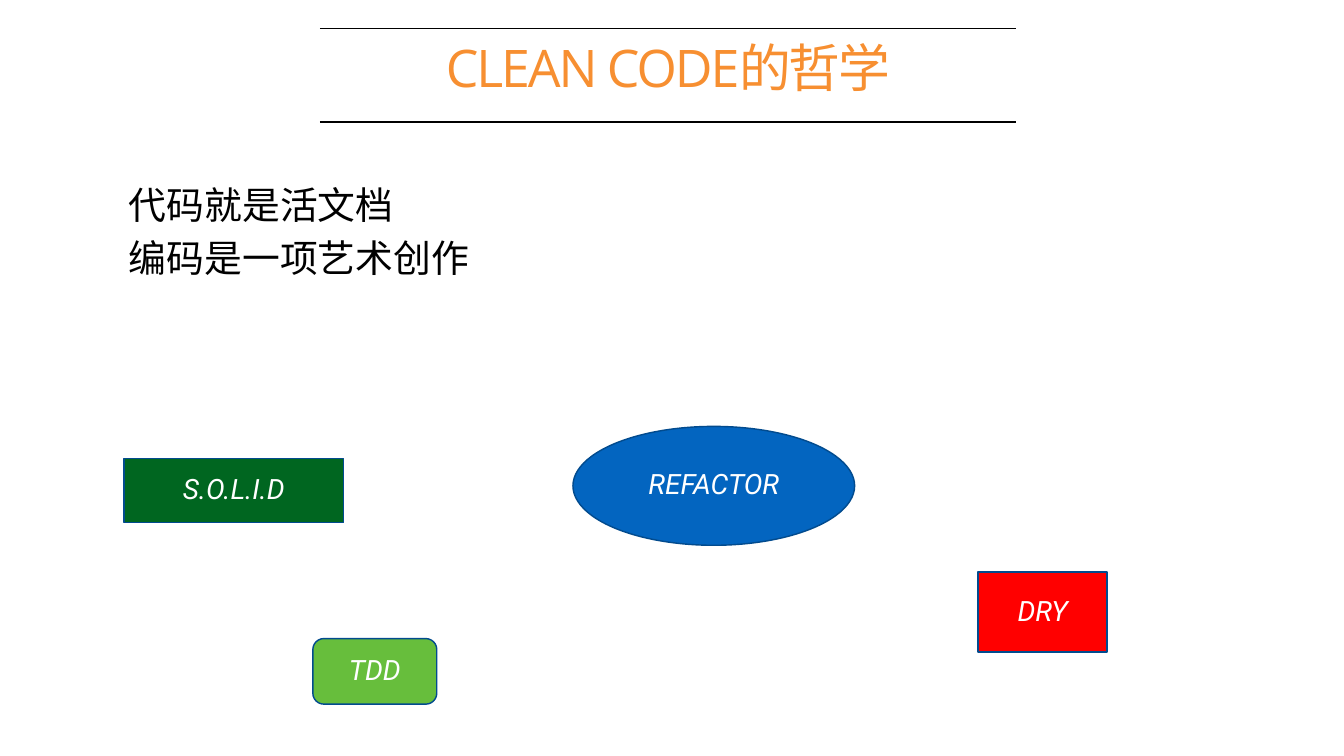
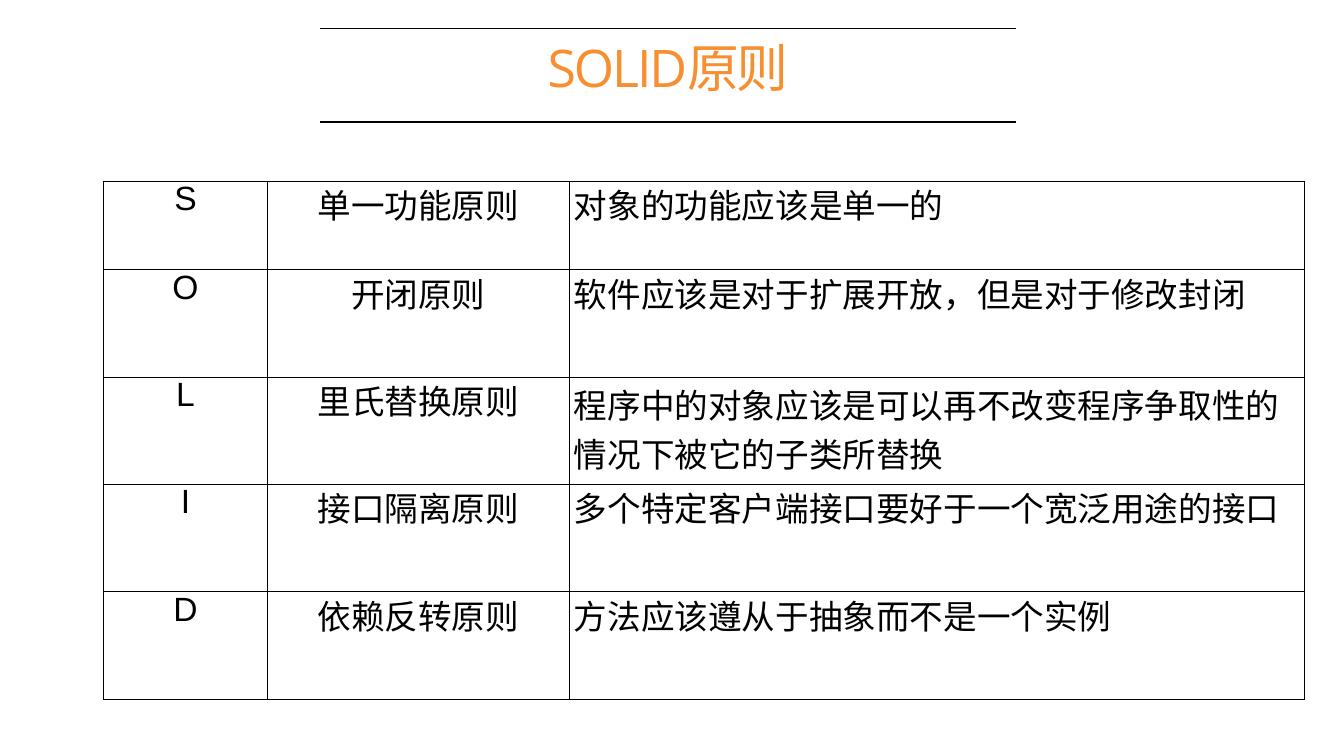
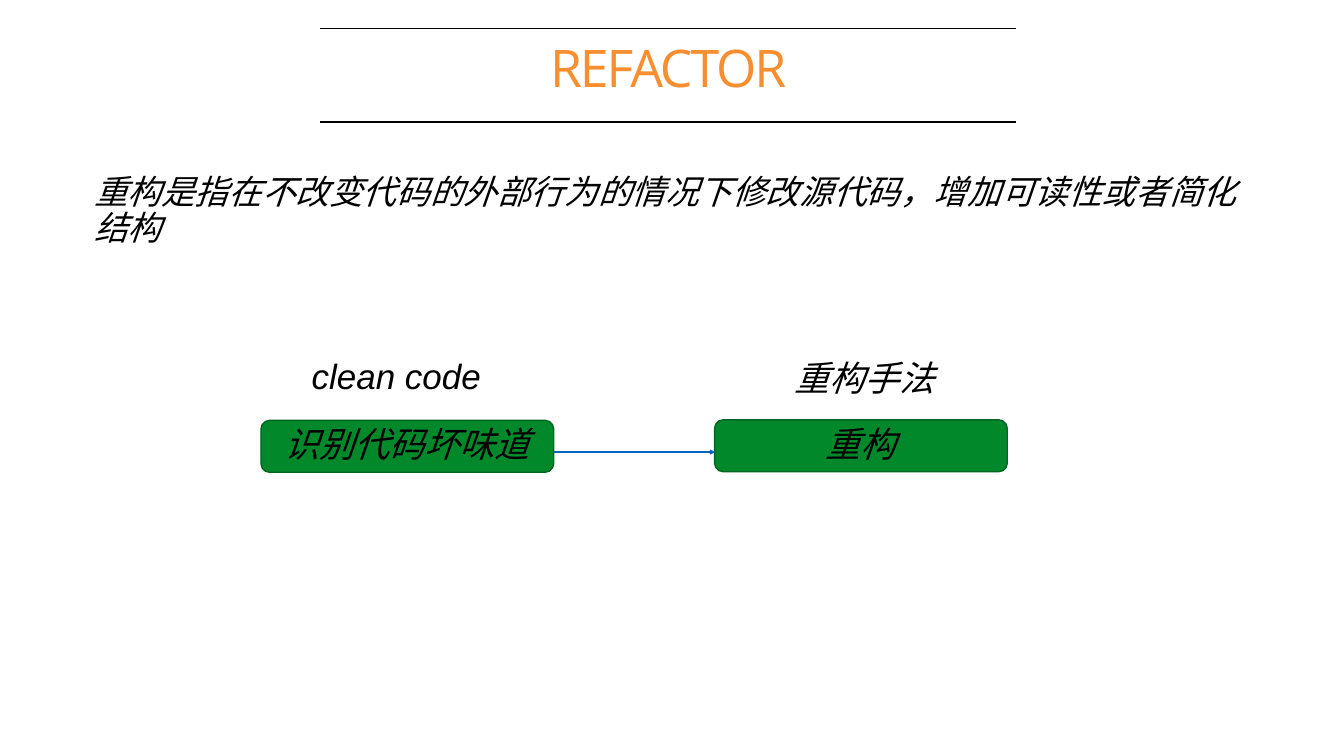
"""Build three slides on clean code, the SOLID principles and refactoring."""
import dataclasses

import lxml.etree
import pptx
import pptx.dml.color
import pptx.enum.shapes
import pptx.enum.text
import pptx.oxml
import pptx.oxml.ns
import pptx.util

KIND = pptx.enum.shapes.MSO_SHAPE
ALIGN = pptx.enum.text.PP_ALIGN
ANCHOR = pptx.enum.text.MSO_ANCHOR
FIT = pptx.enum.text.MSO_AUTO_SIZE
Pt = pptx.util.Pt
qn = pptx.oxml.ns.qn


@dataclasses.dataclass(frozen=True)
class Theme:
    """Colours, fonts and type sizes of the deck."""
    ink: str = "000000"
    paper: str = "FFFFFF"
    title: str = "F78F31"
    edge: str = "024B8E"
    blue: str = "0365C0"
    forest: str = "006620"
    lime: str = "67BE3C"
    red: str = "FF0000"
    green: str = "00882B"
    rim: str = "006520"
    head: str = "Open Sans"
    tag: str = "Roboto"
    body: str = "Arial"
    big: int = 74
    lead: int = 54
    step: int = 50
    text: int = 48
    small: int = 40
    line: int = 2


T = Theme()
WIDE, HIGH = pptx.util.Inches(26.67), pptx.util.Inches(15)

RULES = (16.13, 3.8)
RULE_ENDS = (23.81, 75.59)
TITLE_BOX = (4.46, 0, 90.51, 19.8)

CREED = ["代码就是活文档", "编码是一项艺术创作"]
CREED_BOX = (9.22, 23.67, 43.91, 71.2)
TAGS = [
    ("S.O.L.I.D", KIND.RECTANGLE, T.forest, (9.22, 60.67, 16.35, 8.47)),
    ("REFACTOR", KIND.OVAL, T.blue, (42.63, 56.4, 20.96, 15.73)),
    ("TDD", KIND.ROUNDED_RECTANGLE, T.lime, (23.28, 84.47, 9.22, 8.67)),
    ("DRY", KIND.RECTANGLE, T.red, (72.78, 75.67, 9.6, 10.6)),
]

SOLID = [
    ("S", "单一功能原则", "对象的功能应该是单一的"),
    ("O", "开闭原则", "软件应该是对于扩展开放，但是对于修改封闭"),
    ("L", "里氏替换原则", "程序中的对象应该是可以再不改变程序争取性的情况下被它的子类所替换"),
    ("I", "接口隔离原则", "多个特定客户端接口要好于一个宽泛用途的接口"),
    ("D", "依赖反转原则", "方法应该遵从于抽象而不是一个实例"),
]
COLS = (12.22, 22.42, 54.74)
ROWS = (11.67,) + (14.2,) * 4
LOOSE = "L"

NOTE = "重构是指在不改变代码的外部行为的情况下修改源代码，增加可读性或者简化结构"
NOTE_BOX = (6.71, 22.53, 86.88, 10.87)
STEPS = [("识别代码坏味道", (19.42, 55.6, 21.78, 6.87)),
         ("重构", (53.17, 55.53, 21.78, 6.87))]
LABELS = [("clean code", (22.42, 46.87, 14.14, 6.2)),
          ("重构手法", (58.64, 47.13, 11.4, 6.2))]
FLOW = 59.8


def px(share):
    """Turn a percentage of the width into a length."""
    return round(WIDE * share / 100)


def py(share):
    """Turn a percentage of the height into a length."""
    return round(HIGH * share / 100)


def place(box):
    """Turn a box in percentages into four lengths."""
    left, top, wide, high = box
    return px(left), py(top), px(wide), py(high)


def rgb(hue):
    """Return a colour object."""
    return pptx.dml.color.RGBColor.from_string(hue)


def write(frame, lines, font, size, hue, align=ALIGN.CENTER, gap=0.9,
          slant=None, before=None):
    """Fill a text frame and format its runs."""
    frame.text = "\n".join(lines)
    for para in frame.paragraphs:
        para.alignment, para.line_spacing = align, gap
        para.space_before = before
        for run in para.runs:
            face = run.font
            face.name, face.size, face.italic = font, Pt(size), slant
            face.color.rgb = rgb(hue)


def inset(frame, size):
    """Set all four margins of a text frame."""
    frame.margin_left = frame.margin_right = pptx.util.Inches(size)
    frame.margin_top = frame.margin_bottom = pptx.util.Inches(size)


def rule(slide, start, end, hue):
    """Draw a plain line between two points."""
    line = slide.shapes.add_connector(
        pptx.enum.shapes.MSO_CONNECTOR.STRAIGHT,
        px(start[0]), py(start[1]), px(end[0]), py(end[1]))
    line.line.color.rgb, line.line.width = rgb(hue), Pt(T.line)
    lxml.etree.SubElement(line._element.spPr, qn("a:effectLst"))
    return line


def block(slide, kind, box, fill, edge):
    """Draw a filled shape with an outline."""
    shape = slide.shapes.add_shape(kind, *place(box))
    shape.shadow.inherit = False
    shape.fill.solid()
    shape.fill.fore_color.rgb = rgb(fill)
    shape.line.color.rgb, shape.line.width = rgb(edge), Pt(T.line)
    shape.text_frame.vertical_anchor = ANCHOR.MIDDLE
    return shape


def snug(shape, text, size, align=ALIGN.CENTER, wrap=True):
    """Write slanted text in a frame that grows with it."""
    frame = shape.text_frame
    inset(frame, 0.08)
    frame.word_wrap, frame.auto_size = wrap, FIT.SHAPE_TO_FIT_TEXT
    frame.vertical_anchor = ANCHOR.MIDDLE
    write(frame, [text], T.body, size, T.ink, align, slant=True)


def start(deck, title):
    """Add a slide with its title between two rules."""
    slide = deck.slides.add_slide(deck.slide_layouts[5])
    for row in RULES:
        rule(slide, (RULE_ENDS[0], row), (RULE_ENDS[1], row), T.ink)
    head = slide.shapes.title
    head.left, head.top, head.width, head.height = place(TITLE_BOX)
    frame = head.text_frame
    inset(frame, 0)
    frame.auto_size, frame.vertical_anchor = FIT.NONE, ANCHOR.MIDDLE
    write(frame, [title], T.head, T.big, T.title, gap=0.7)
    for run in frame.paragraphs[0].runs:
        run.font._element.set("spc", "-300")
    return slide


def border(cell):
    """Draw a thin line on each side of a cell."""
    props = cell._tc.get_or_add_tcPr()
    for spot, side in enumerate("LRTB"):
        line = pptx.oxml.parse_xml(
            f'<a:ln{side} {pptx.oxml.ns.nsdecls("a")} w="{Pt(1)}"><a:solidFill>'
            f'<a:srgbClr val="{T.ink}"/></a:solidFill></a:ln{side}>')
        props.insert(spot, line)


def ideas(deck):
    """Build the slide on the philosophy of clean code."""
    slide = start(deck, "CLEAN CODE的哲学")
    frame = slide.shapes.add_textbox(*place(CREED_BOX)).text_frame
    frame.word_wrap = True
    write(frame, CREED, T.head, T.lead, T.ink, ALIGN.LEFT, None, before=Pt(12))
    for text, kind, fill, box in TAGS:
        shape = block(slide, kind, box, fill, T.edge)
        write(shape.text_frame, [text], T.tag, T.small, T.paper, slant=True)


def solid(deck):
    """Build the slide with the table of principles."""
    slide = start(deck, "SOLID原则")
    box = (7.69, 24, sum(COLS), sum(ROWS))
    grid = slide.shapes.add_table(len(ROWS), len(COLS), *place(box)).table
    grid.first_row = grid.horz_banding = False
    for col, share in zip(grid.columns, COLS):
        col.width = px(share)
    for row, share, texts in zip(grid.rows, ROWS, SOLID):
        row.height = py(share)
        for spot, (cell, text) in enumerate(zip(row.cells, texts)):
            last = spot == len(COLS) - 1
            gap = None if last and texts[0] == LOOSE else 0.9
            align = ALIGN.LEFT if last else ALIGN.CENTER
            write(cell.text_frame, [text], T.body, T.text, T.ink, align, gap)
            cell.fill.background()
            border(cell)


def refactor(deck):
    """Build the slide on refactoring."""
    slide = start(deck, "REFACTOR")
    note = slide.shapes.add_textbox(*place(NOTE_BOX))
    snug(note, NOTE, T.text, ALIGN.LEFT)
    for text, box in STEPS:
        shape = block(slide, KIND.ROUNDED_RECTANGLE, box, T.green, T.rim)
        snug(shape, text, T.step)
    first, second = (box for _, box in STEPS)
    arrow = rule(slide, (first[0] + first[2], FLOW), (second[0], FLOW), T.blue)
    tip = lxml.etree.SubElement(arrow.line._get_or_add_ln(), qn("a:tailEnd"))
    tip.set("type", "arrow")
    for text, box in LABELS:
        snug(slide.shapes.add_textbox(*place(box)), text, T.step, wrap=False)


def main():
    """Build and save the deck."""
    deck = pptx.Presentation()
    deck.slide_width, deck.slide_height = WIDE, HIGH
    for build in (ideas, solid, refactor):
        build(deck)
    deck.save("out.pptx")


if __name__ == "__main__":
    main()
